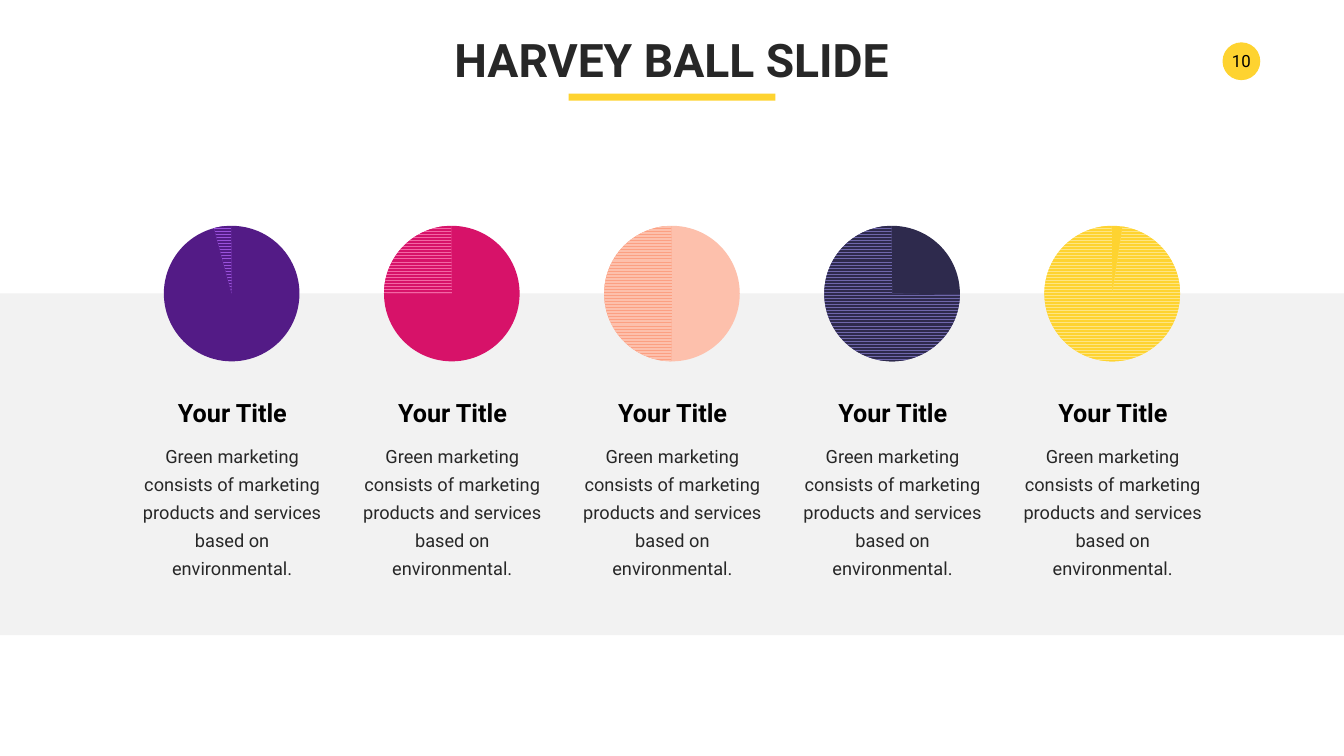
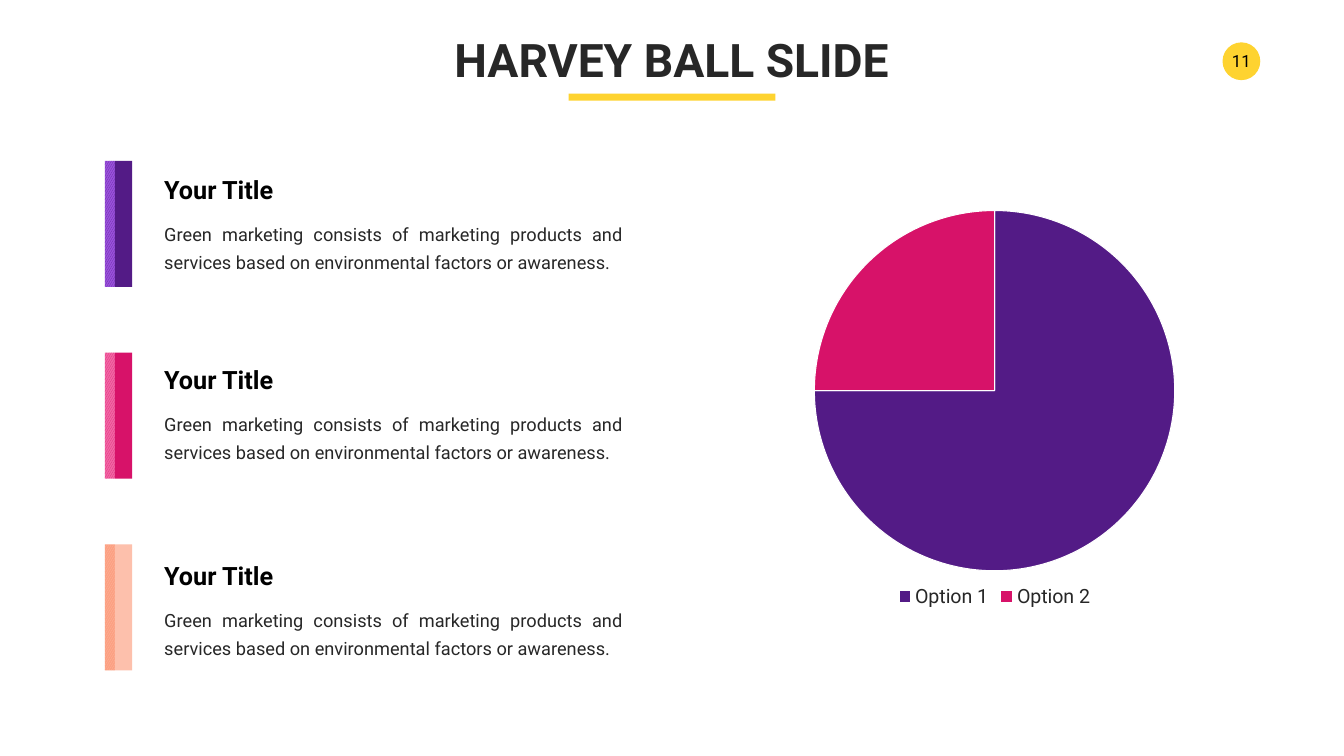
from pptx import Presentation
from pptx.chart.data import CategoryChartData
from pptx.dml.color import RGBColor
from pptx.enum.chart import XL_CHART_TYPE as ChartType, XL_LEGEND_POSITION as LegendPosition
from pptx.enum.dml import MSO_PATTERN as Pattern
from pptx.enum.shapes import MSO_SHAPE as Shape
from pptx.enum.text import MSO_ANCHOR as Anchor, MSO_AUTO_SIZE as AutoSize, PP_ALIGN as Align
from pptx.util import Inches, Pt

WIDTH, HEIGHT = Inches(26.66), Inches(15)
COLUMN, ROW = WIDTH / 100, HEIGHT / 100  # every place is on a 100 x 100 grid
FONT = "Roboto"
COLORS = {
    "purple": "531B86", "purple_light": "9A51DC",
    "pink": "D71269", "pink_light": "F266A4",
    "peach": "FDC0AC", "peach_light": "FCA082",
    "navy": "2E2A4D", "navy_light": "6F67AC",
    "yellow": "FED330", "yellow_light": "FEE583",
    "ink": "272727", "black": "000000", "white": "FFFFFF", "band": "F2F2F2",
}
RGB = {name: RGBColor.from_string(value) for name, value in COLORS.items()}
HEADING = dict(size=36, color="black", bold=True)
BODY = dict(size=26, color="ink", spacing=40, wrap=True)


def add_block(page, kind, left, top, width, height, color, pattern=None):
    """Add a plain shape; a pattern mixes the colour with its light tone."""
    shape = page.shapes.add_shape(kind, int(left * COLUMN), int(top * ROW),
                                  int(width * COLUMN), int(height * ROW))
    shape.shadow.inherit = False
    shape.line.fill.background()
    if pattern is None:
        shape.fill.solid()
    else:
        shape.fill.patterned()
        shape.fill.pattern = pattern
        shape.fill.back_color.rgb = RGB[color + "_light"]
    shape.fill.fore_color.rgb = RGB[color]
    return shape


def write(page, text, left, top, width, height, *, size, color, bold=False,
          align=Align.CENTER, spacing=None, wrap=False, badge=None):
    """Write text in a new box, or inside the badge shape when one is given."""
    box = badge or page.shapes.add_textbox(int(left * COLUMN), int(top * ROW),
                                           int(width * COLUMN), int(height * ROW))
    frame = box.text_frame
    frame.word_wrap = wrap
    if badge:
        frame.vertical_anchor = Anchor.MIDDLE
        frame.margin_left = frame.margin_right = Inches(0.05)
        frame.margin_top = frame.margin_bottom = Inches(0.05)
    else:
        frame.auto_size = AutoSize.SHAPE_TO_FIT_TEXT
    para = frame.paragraphs[0]
    para.alignment = align
    if spacing:
        para.line_spacing = Pt(spacing)
    span = para.add_run()
    span.text = text
    span.font.name, span.font.size, span.font.bold = FONT, Pt(size), bold
    span.font.color.rgb = RGB[color]


deck = Presentation()
deck.slide_width, deck.slide_height = WIDTH, HEIGHT
pages = []

# Shared title, rule and page number
for number in ("10", "11"):
    page = deck.slides.add_slide(deck.slide_layouts[6])
    pages.append(page)
    badge_area = (90.96, 5.6, 2.81, 5)
    badge = add_block(page, Shape.OVAL, *badge_area, "yellow")
    write(page, number, *badge_area, size=24, color="black", wrap=True, badge=badge)
    write(page, "HARVEY BALL SLIDE", 33.27, 3.8, 33.42, 8.07, size=66, color="ink", bold=True)
    add_block(page, Shape.RECTANGLE, 42.31, 12.4, 15.38, 0.93, "yellow")
balls_page, pie_page = pages

# Five balls on a grey band; each wedge runs from its own angle to the top
add_block(balls_page, Shape.RECTANGLE, 0, 38.8, 100, 45.2, "band")
wedge_starts = {"purple": 152.94, "pink": 108.17, "peach": 54.26,
                "navy": 0.55, "yellow": 167.24}
for index, (color, start) in enumerate(wedge_starts.items()):
    shift = index * 16.38
    ball_area = (12.19 + shift, 29.87, 10.09, 17.93)
    add_block(balls_page, Shape.OVAL, *ball_area, color)
    wedge = add_block(balls_page, Shape.PIE, *ball_area, color, Pattern.ZIG_ZAG)
    wedge.adjustments[0], wedge.adjustments[1] = start, 161.74
    write(balls_page, "Your Title", 12.79 + shift, 52.27, 9, 4.73, **HEADING)
    write(balls_page, "Green marketing consists of marketing products and services "
          "based on environmental.", 10.09 + shift, 57.8, 14.37, 19.07, **BODY)

# Pie chart
data = CategoryChartData()
data.categories = ["Option 1", "Option 2"]
data.add_series("Series 1", (75, 25))
chart = pie_page.shapes.add_chart(
    ChartType.PIE, int(56.56 * COLUMN), int(26.93 * ROW),
    int(34.88 * COLUMN), int(54 * ROW), data).chart
chart.has_title = False
chart.has_legend = True
chart.legend.position = LegendPosition.BOTTOM
chart.legend.include_in_layout = False
for font in (chart.font, chart.legend.font):
    font.name, font.size = FONT, Pt(28)
    font.color.rgb = RGB["ink"]
plot = chart.plots[0]
plot.vary_by_categories = True
for index, color in enumerate(("purple", "pink")):
    slice_format = plot.series[0].points[index].format
    slice_format.fill.solid()
    slice_format.fill.fore_color.rgb = RGB[color]
    slice_format.line.color.rgb = RGB["white"]
    slice_format.line.width = Pt(1.5)

# Three texts with striped bars
heading_tops = {"purple": 22.73, "pink": 47.87, "peach": 73.73}
for index, (color, heading_top) in enumerate(heading_tops.items()):
    bar_top = 21.27 + index * 25.37
    add_block(pie_page, Shape.RECTANGLE, 7.8, bar_top, 0.75, 16.67, color,
              Pattern.LARGE_CONFETTI)
    add_block(pie_page, Shape.RECTANGLE, 8.55, bar_top, 1.28, 16.67, color)
    write(pie_page, "Your Title", 11.85, heading_top, 9, 4.73, align=Align.LEFT, **HEADING)
    write(pie_page, "Green marketing consists of marketing products and services "
          "based on environmental factors or awareness.",
          11.85, heading_top + 5.67, 34.88, 7.8, align=Align.JUSTIFY, **BODY)

deck.save("out.pptx")
